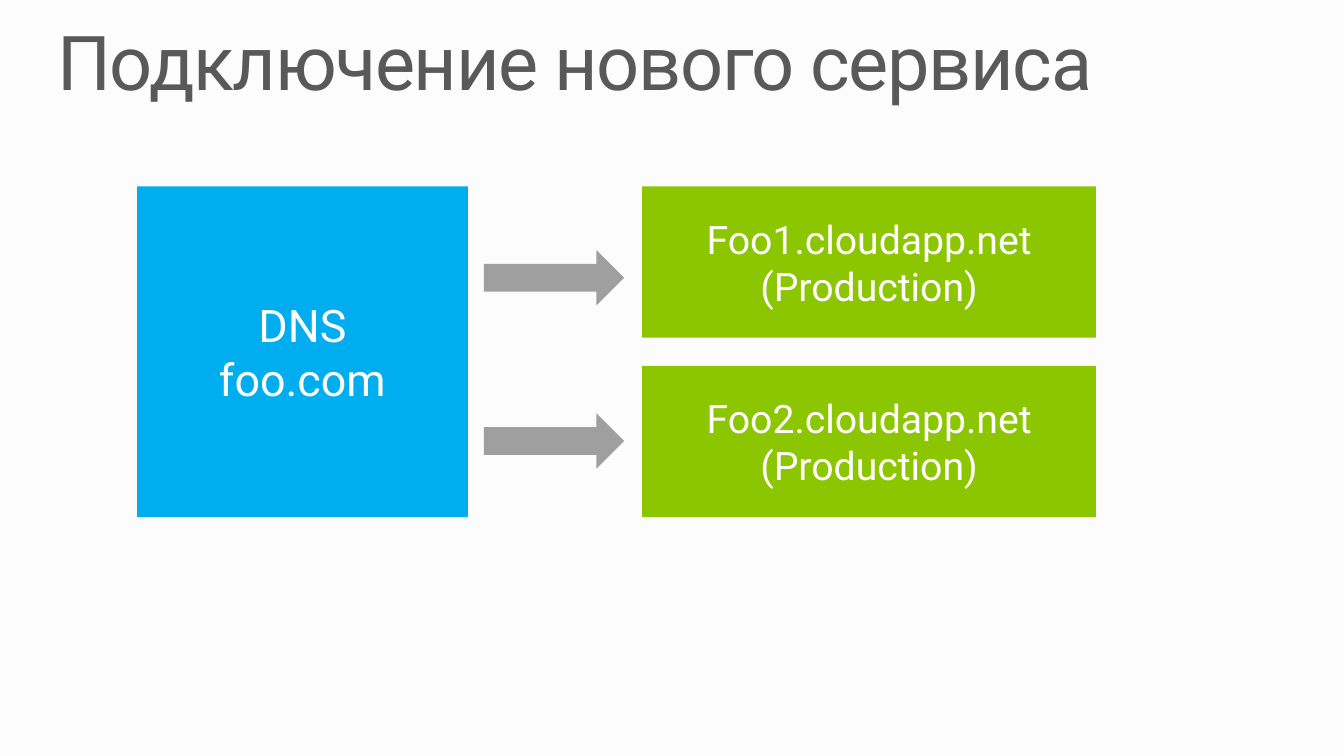
from pptx import Presentation
from pptx.dml.color import RGBColor
from pptx.enum.shapes import MSO_SHAPE
from pptx.enum.text import MSO_ANCHOR, MSO_AUTO_SIZE, PP_ALIGN
from pptx.util import Inches, Pt


def color(value):
    return RGBColor.from_string(value)


class SlideBuilder:
    font_name = "Roboto"
    background = "FCFCFC"
    title_color = "595959"
    label_color = "FFFFFF"
    arrow_color = "9F9F9F"

    def __init__(self, presentation):
        self.slide = presentation.slides.add_slide(presentation.slide_layouts[6])
        fill = self.slide.background.fill
        fill.solid()
        fill.fore_color.rgb = color(self.background)

    def style_run(self, run, size, text_color):
        run.font.name = self.font_name
        run.font.size = Pt(size)
        run.font.color.rgb = color(text_color)

    def title(self, text, left, top, width, height):
        box = self.slide.shapes.add_textbox(
            Inches(left), Inches(top), Inches(width), Inches(height))
        frame = box.text_frame
        frame.word_wrap = True
        frame.auto_size = MSO_AUTO_SIZE.SHAPE_TO_FIT_TEXT
        frame.margin_left = frame.margin_right = 0
        frame.margin_top = frame.margin_bottom = 0
        paragraph = frame.paragraphs[0]
        paragraph.line_spacing = 0.9
        run = paragraph.add_run()
        run.text = text
        self.style_run(run, 54, self.title_color)
        run.font._element.set("spc", "-100")

    def filled_shape(self, preset, left, top, width, height, fill_color):
        shape = self.slide.shapes.add_shape(
            preset, Inches(left), Inches(top), Inches(width), Inches(height))
        shape.shadow.inherit = False
        shape.fill.solid()
        shape.fill.fore_color.rgb = color(fill_color)
        shape.line.fill.background()
        return shape

    def block(self, lines, size, left, top, width, height, fill_color):
        shape = self.filled_shape(
            MSO_SHAPE.RECTANGLE, left, top, width, height, fill_color)
        frame = shape.text_frame
        frame.word_wrap = True
        frame.vertical_anchor = MSO_ANCHOR.MIDDLE
        for index, line in enumerate(lines):
            paragraph = frame.add_paragraph() if index else frame.paragraphs[0]
            paragraph.alignment = PP_ALIGN.CENTER
            run = paragraph.add_run()
            run.text = line
            self.style_run(run, size, self.label_color)

    def arrow(self, left, top, width, height):
        self.filled_shape(
            MSO_SHAPE.RIGHT_ARROW, left, top, width, height, self.arrow_color)


def main():
    presentation = Presentation()
    presentation.slide_width = Inches(13.33)
    presentation.slide_height = Inches(7.5)

    builder = SlideBuilder(presentation)
    builder.title("Подключение нового сервиса", 0.57, 0.25, 12.19, 0.82)
    builder.block(["DNS", "foo.com"], 32, 1.36, 1.85, 3.28, 3.28, "00AEEF")

    services = [("Foo1.cloudapp.net", 1.85, 2.48), ("Foo2.cloudapp.net", 3.63, 4.1)]
    for host, block_top, arrow_top in services:
        builder.block([host, "(Production)"], 28, 6.37, block_top, 4.5, 1.5, "8CC600")
        builder.arrow(4.8, arrow_top, 1.39, 0.55)

    presentation.save("out.pptx")


if __name__ == "__main__":
    main()
